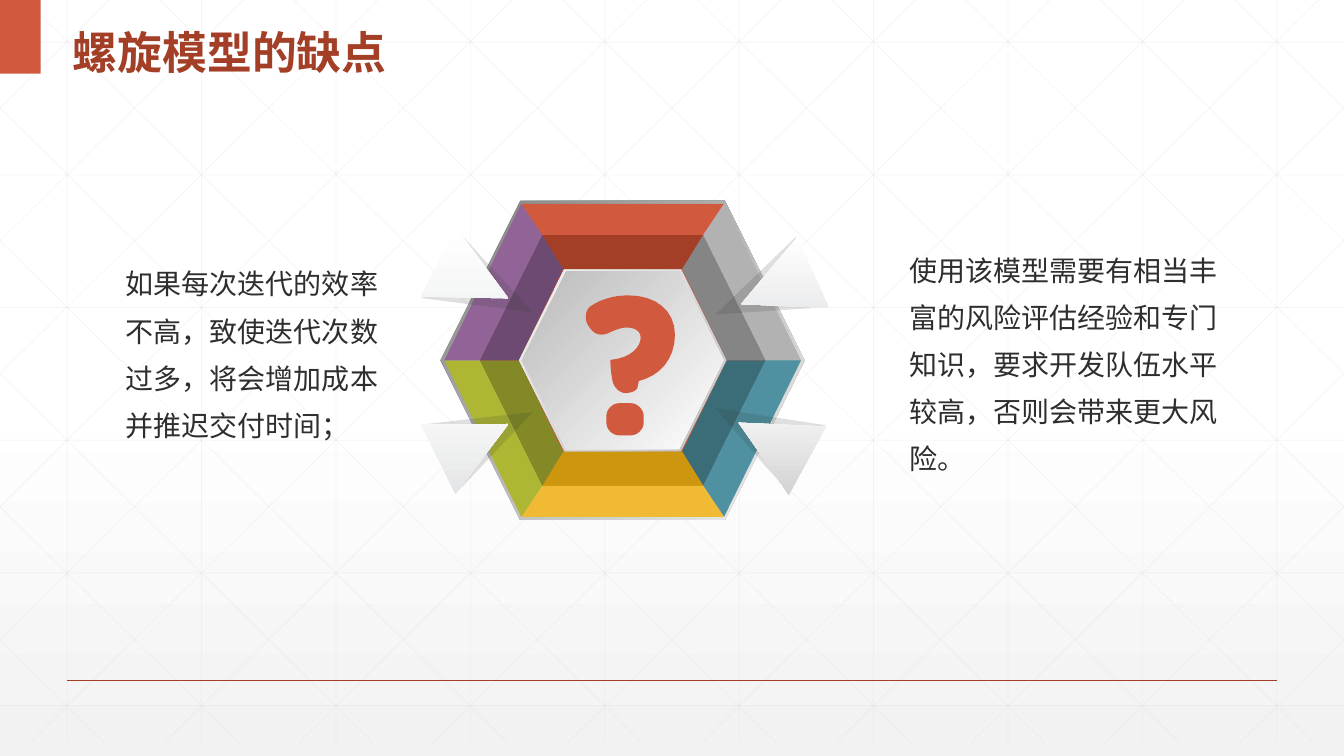
from lxml import etree
from pptx import Presentation
from pptx.dml.color import RGBColor
from pptx.enum.shapes import MSO_CONNECTOR, MSO_SHAPE
from pptx.enum.text import MSO_ANCHOR
from pptx.oxml.ns import qn
from pptx.util import Pt

LINE = MSO_CONNECTOR.STRAIGHT
HEX, RECT, TRI = MSO_SHAPE.HEXAGON, MSO_SHAPE.RECTANGLE, MSO_SHAPE.ISOSCELES_TRIANGLE
TOP, MID = MSO_ANCHOR.TOP, MSO_ANCHOR.MIDDLE
WIDE, HIGH = 960, 540
CJK = "Noto Sans CJK SC"
HUE = {"red": "D15A3E", "brick": "A43F27", "ink": "2D2E2D", "mesh": "D9D9D9",
       "white": "FFFFFF", "pale": "F2F2F2", "gray": "B2B2B2", "shade": "373937"}
LIGHT = ["D15A3E", "B2B2B2", "4F91A1", "F0BA34", "AEB733", "926397"]
DARK = ["A43F27", "858585", "3B6D79", "CC960F", "828926", "6D4A71"]
HEAD = {"name": "Arial", "size": Pt(32), "bold": True}
BODY = {"name": CJK, "size": Pt(20), "bold": False}

RINGS = [(74.4, 42.5, 65.2), (102.2, 57.6, 89.6), (127.4, 72.4, 111.8)]
PLATES = [(260, 228, ("808080", HUE["pale"], 45)), (254, 223, HUE["gray"]),
          (204, 179, HUE["red"]), (148, 130, ("BFBFBF", HUE["pale"], 225)),
          (144, 127, (HUE["white"], "BABABA", 225))]
FLAPS = [(298.8, (98.9, 52.2), (107.3, 58), "D3D3D4"),
         (246.1, (100.4, -47.9), (110.2, -51.5), "E2E3E4"),
         (63.5, (-97.6, 53.6), (-106.6, 58), "E4E5E6"),
         (117.4, (-97.6, -51.5), (-106.6, -57.2), "F0F1F1")]
DOT = [(24.5, 77), (32.4, 77), (37.4, 77, 41.8, 81.4, 41.8, 86.4), (41.8, 90.7),
       (41.8, 95.8, 37.4, 100, 32.4, 100), (24.5, 100),
       (19.4, 100, 15.1, 95.8, 15.1, 90.7), (15.1, 86.4),
       (15.1, 81.4, 19.4, 77, 24.5, 77)]
HOOK = [(31, 0), (50.4, 0, 64.1, 10.8, 64.1, 28.1), (64.1, 45.4, 53.3, 57.6, 38.2, 61.2),
        (38.2, 61.2, 38.2, 62.6, 37.4, 65.5), (37.4, 67.7, 33.1, 69.8, 28.8, 69.8),
        (24.5, 69.8, 20.2, 65.5, 19.4, 60.5), (18.7, 56.2),
        (18, 51.1, 18, 46.8, 18, 46.1), (33.8, 44.6, 39.6, 36, 39.6, 30.2),
        (39.6, 25.9, 36, 23, 29.5, 23), (25.9, 23, 21.6, 24.5, 17.3, 26.6),
        (13, 28.8, 7.9, 28.8, 4.3, 24.5), (2.2, 21.6),
        (-0.7, 17.3, 0, 10.8, 3.6, 7.9), (10.8, 2.9, 20.2, 0, 31, 0)]


def rgb(hue):
    """Turn a hex string into a colour."""
    return RGBColor.from_string(hue)


def fade(fill, first, last, angle, start=0):
    """Give a fill two colours along a clockwise angle."""
    fill.gradient()
    fill.gradient_angle = (360 - angle) % 360
    for stop, hue, place in zip(fill.gradient_stops, (first, last), (start, 1)):
        stop.color.rgb = rgb(hue)
        stop.position = place


def veil(node, share):
    """Make every solid colour in a node partly clear."""
    for tone in node.iter(qn("a:srgbClr")):
        etree.SubElement(tone, qn("a:alpha")).set("val", str(share * 1000))


def paint(shape, hue):
    """Fill a shape with one colour or a fade, without line or shadow."""
    shape.shadow.inherit = False
    shape.line.fill.background()
    if isinstance(hue, tuple):
        fade(shape.fill, *hue)
        for node in shape._element.spPr.iter(qn("a:gradFill")):
            node.set("rotWithShape", "0")
    else:
        shape.fill.solid()
        shape.fill.fore_color.rgb = rgb(hue)


def block(slide, kind, box, hue, turn=0):
    """Add a preset shape in a box."""
    shape = slide.shapes.add_shape(kind, *map(Pt, box))
    shape.rotation = turn
    paint(shape, hue)
    return shape


def center(mid, wide, high):
    """Return the box of a given size around a point."""
    return mid[0] - wide / 2, mid[1] - high / 2, wide, high


def rule(slide, ends, hue, width):
    """Draw a straight line."""
    line = slide.shapes.add_connector(LINE, *map(Pt, ends))
    line.line.color.rgb = rgb(hue)
    line.line.width = Pt(width)
    etree.SubElement(line._element.spPr, qn("a:effectLst"))
    return line


def outline(slide, loops, hue):
    """Add a freeform made of closed loops."""
    loops = [[(Pt(x), Pt(y)) for x, y in loop] for loop in loops]
    form = slide.shapes.build_freeform(*loops[0][0], scale=1.0)
    for step, loop in enumerate(loops):
        if step:
            form.move_to(*loop[0])
        form.add_line_segments(loop[1:], close=True)
    paint(form.convert_to_shape(), hue)


def trace(steps, left, top):
    """Turn line and curve steps into points from a corner."""
    dots = [steps[0]]
    for step in steps[1:]:
        if len(step) == 2:
            dots.append(step)
            continue
        knots = [dots[-1], step[:2], step[2:4], step[4:]]
        for part in range(1, 9):
            t = part / 8
            mix = ((1 - t) ** 3, 3 * t * (1 - t) ** 2, 3 * t * t * (1 - t), t ** 3)
            dots.append(tuple(sum(m * k[i] for m, k in zip(mix, knots)) for i in (0, 1)))
    return [(left + x, top + y) for x, y in dots]


def label(slide, box, text, hue, look, pitch, anchor, side=0):
    """Write one paragraph in a box."""
    frame = slide.shapes.add_textbox(*map(Pt, box)).text_frame
    form = {"word_wrap": True, "vertical_anchor": anchor, "margin_left": Pt(side),
            "margin_right": Pt(side), "margin_top": 0, "margin_bottom": 0}
    for name, value in form.items():
        setattr(frame, name, value)
    para = frame.paragraphs[0]
    para.line_spacing = Pt(pitch)
    run = para.add_run()
    run.text = text
    for name, value in look.items():
        setattr(run.font, name, value)
    run.font.color.rgb = rgb(hue)
    etree.SubElement(run._r.get_or_add_rPr(), qn("a:ea")).set("typeface", CJK)


def mesh(slide, wide, deep):
    """Draw the faint grid with its two sets of slanted lines."""
    reach = 536.6
    ends = [(48 + 96 * k, 0, 48 + 96 * k, deep) for k in range(10)]
    ends += [(0, 30.2 + 94.75 * k, wide, 30.2 + 94.75 * k) for k in range(6)]
    for k in range(-5, 10):
        base = 18 + 96 * k
        left, right = max(0, base), min(wide, base + reach)
        high, low = [(x - base) * deep / reach for x in (left, right)]
        ends += [(left, high, right, low), (wide - left, high, wide - right, low)]
    for line in ends:
        veil(rule(slide, line, HUE["mesh"], 0.5)._element.spPr, 25)


def corners(mid, half, flat, high):
    """List the corners of a hexagon clockwise from top left."""
    spots = [(-flat, -high), (flat, -high), (half, 0), (flat, high), (-flat, high), (-half, 0)]
    return [(mid[0] + x, mid[1] + y) for x, y in spots]


def wheel(slide, mid):
    """Build the hexagon ring with its flaps and question mark."""
    for wide, high, hue in PLATES:
        block(slide, HEX, center(mid, wide, high), hue)
    rings = [corners(mid, *ring) for ring in RINGS]
    for inner, outer, hues in zip(rings, rings[1:], (DARK, LIGHT)):
        for k, hue in enumerate(hues):
            n = (k + 1) % 6
            outline(slide, [[inner[k], inner[n], outer[n], outer[k]]], hue)
    for turn, dim, flap, hue in FLAPS:
        spots = [(mid[0] + x, mid[1] + y) for x, y in (dim, flap)]
        shade = block(slide, TRI, center(spots[0], 54.7, 74.9), HUE["shade"], turn)
        veil(shade._element.spPr, 16)
        block(slide, TRI, center(spots[1], 55.4, 56.2), (HUE["white"], hue, 90), turn)
    outline(slide, [trace(loop, mid[0] - 26.8, mid[1] - 46.4) for loop in (DOT, HOOK)],
            HUE["red"])


def main():
    """Build and save the slide."""
    deck = Presentation()
    deck.slide_width, deck.slide_height = Pt(WIDE), Pt(HIGH)
    slide = deck.slides.add_slide(deck.slide_layouts[6])
    fade(slide.background.fill, HUE["white"], HUE["pale"], 90, 0.53)
    mesh(slide, WIDE, 530.6)
    rule(slide, (48, 486, 912, 486), HUE["brick"], 1)
    block(slide, RECT, (0, 0, 29, 52.6), HUE["red"])
    label(slide, (45, 0, 410, 52.6), "螺旋模型的缺点", HUE["brick"], HEAD, 60, MID, 7.2)
    wheel(slide, (444.8, 257.4))
    label(slide, (649.4, 171, 221, 203),
          "使用该模型需要有相当丰富的风险评估经验和专门知识，要求开发队伍水平较高，否则会带来更大风险。",
          HUE["ink"], BODY, 33.7, TOP)
    label(slide, (89.8, 181, 191.5, 167),
          "如果每次迭代的效率不高，致使迭代次数过多，将会增加成本并推迟交付时间；",
          HUE["ink"], BODY, 33.7, TOP)
    deck.save("out.pptx")


if __name__ == "__main__":
    main()
